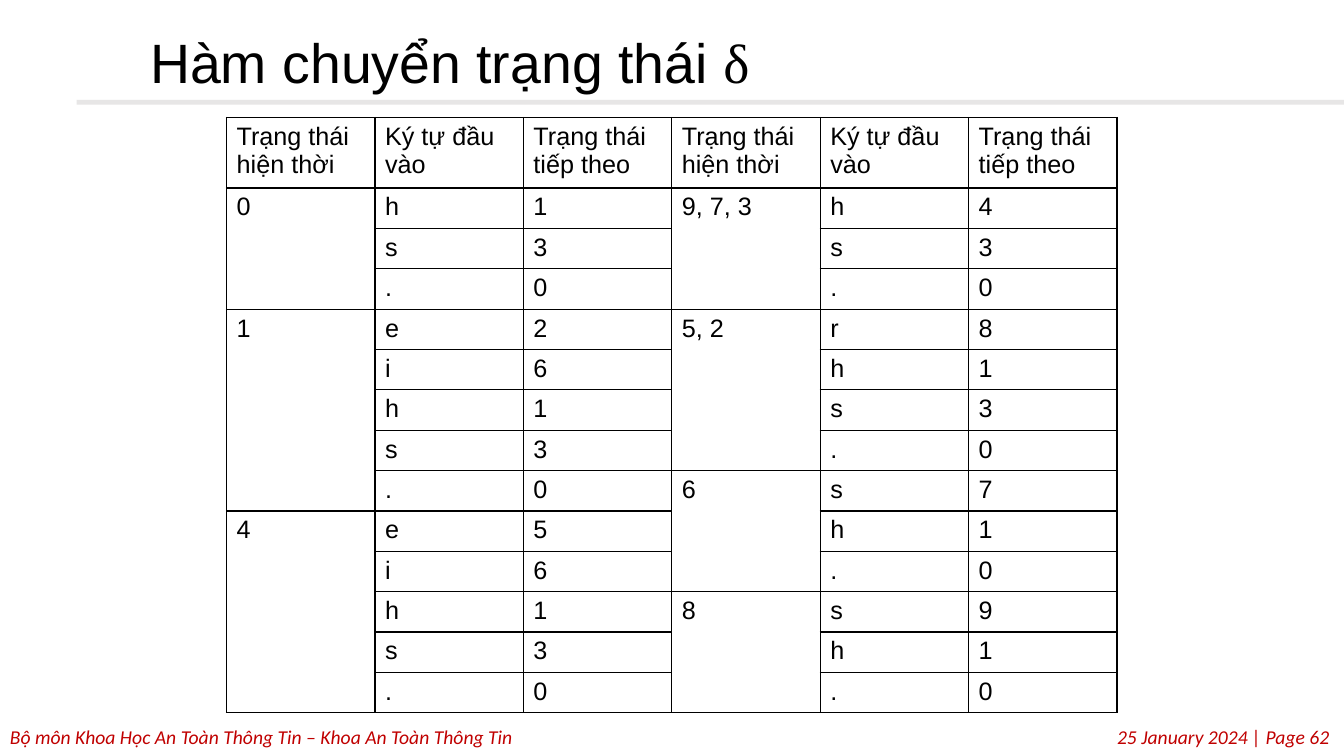
from dataclasses import dataclass

from lxml import etree
from pptx import Presentation
from pptx.dml.color import RGBColor
from pptx.enum import shapes, text
from pptx.oxml import ns
from pptx.util import Cm, Pt

BLACK = RGBColor(0x00, 0x00, 0x00)
WHITE = RGBColor(0xFF, 0xFF, 0xFF)
RED = RGBColor(0xC0, 0x00, 0x00)
GRAY = RGBColor(0xE7, 0xE6, 0xE6)
LEFT, RIGHT = text.PP_ALIGN.LEFT, text.PP_ALIGN.RIGHT


@dataclass
class Note:
    words: str
    width: float
    align: text.PP_ALIGN


@dataclass
class State:
    name: str
    moves: str  # pairs of input sign and next state


NOTES = [
    Note("Bộ môn Khoa Học An Toàn Thông Tin – Khoa An Toàn Thông Tin", 33.87, LEFT),
    Note("25 January 2024 | Page 62", 33.76, RIGHT),
]
HEADS = ["Trạng thái hiện thời", "Ký tự đầu vào", "Trạng thái tiếp theo"]
HALVES = [
    [State("0", "h1 s3 .0"), State("1", "e2 i6 h1 s3 .0"),
     State("4", "e5 i6 h1 s3 .0")],
    [State("9, 7, 3", "h4 s3 .0"), State("5, 2", "r8 h1 s3 .0"),
     State("6", "s7 h1 .0"), State("8", "s9 h1 .0")],
]
ROWS, COLS = 14, 6


def add_run(para, words: str, size: float, face: str = "Arial",
            color: RGBColor = BLACK, slant: bool = False) -> None:
    run = para.add_run()
    run.text = words
    font = run.font
    font.size, font.name, font.italic = Pt(size), face, slant
    font.color.rgb = color


def add_note(slide, note: Note) -> None:
    box = slide.shapes.add_textbox(0, Cm(18.14), Cm(note.width), Cm(0.86))
    box.text_frame.word_wrap = True
    para = box.text_frame.paragraphs[0]
    para.alignment = note.align
    add_run(para, note.words, 14, "Calibri", RED, True)


def add_edges(cell) -> None:
    props = cell._tc.get_or_add_tcPr()
    for spot, side in enumerate(("lnL", "lnR", "lnT", "lnB")):
        line = etree.Element(ns.qn("a:" + side), w=str(Pt(1)))
        fill = etree.SubElement(line, ns.qn("a:solidFill"))
        etree.SubElement(fill, ns.qn("a:srgbClr"), val=str(BLACK))
        props.insert(spot, line)


def put(grid, row: int, col: int, words: str) -> None:
    add_run(grid.cell(row, col).text_frame.paragraphs[0], words, 18)


def fill_half(grid, left: int, states: list[State]) -> None:
    for step, head in enumerate(HEADS):
        put(grid, 0, left + step, head)
    row = 1
    for state in states:
        moves = state.moves.split()
        last = row + len(moves) - 1
        grid.cell(row, left).merge(grid.cell(last, left))
        put(grid, row, left, state.name)
        for sign, goal in moves:
            put(grid, row, left + 1, sign)
            put(grid, row, left + 2, goal)
            row += 1


def main() -> None:
    deck = Presentation()
    deck.slide_width, deck.slide_height = Cm(33.87), Cm(19.05)
    slide = deck.slides.add_slide(deck.slide_layouts[5])

    # Footer
    for note in NOTES:
        add_note(slide, note)

    # Rule under the title
    bar = slide.shapes.add_shape(shapes.MSO_SHAPE.RECTANGLE,
                                 Cm(1.93), Cm(2.52), Cm(31.94), Cm(0.12))
    bar.shadow.inherit = False
    bar.fill.solid()
    bar.fill.fore_color.rgb = GRAY
    bar.line.fill.background()

    # Title
    title = slide.shapes.title
    title.left, title.top = Cm(3.53), Cm(0.76)
    title.width, title.height = Cm(24.84), Cm(1.78)
    frame = title.text_frame
    frame.auto_size = text.MSO_AUTO_SIZE.NONE
    frame.vertical_anchor = text.MSO_ANCHOR.MIDDLE
    para = frame.paragraphs[0]
    para.alignment, para.line_spacing = LEFT, 0.9
    add_run(para, "Hàm chuyển trạng thái ", 39.6)
    add_run(para, "δ", 39.6, "Times New Roman")

    # Transition table
    grid = slide.shapes.add_table(ROWS, COLS, Cm(5.71), Cm(2.96),
                                  Cm(22.44), Cm(13.85)).table
    grid.first_row = grid.horz_banding = False
    for col in grid.columns:
        col.width = Cm(3.74)
    for row in grid.rows:
        row.height = Cm(0.94)
    grid.rows[0].height = Cm(1.63)
    for cell in grid.iter_cells():
        cell.fill.solid()
        cell.fill.fore_color.rgb = WHITE
        add_edges(cell)
    for half, states in enumerate(HALVES):
        fill_half(grid, half * len(HEADS), states)

    deck.save("out.pptx")


if __name__ == "__main__":
    main()
